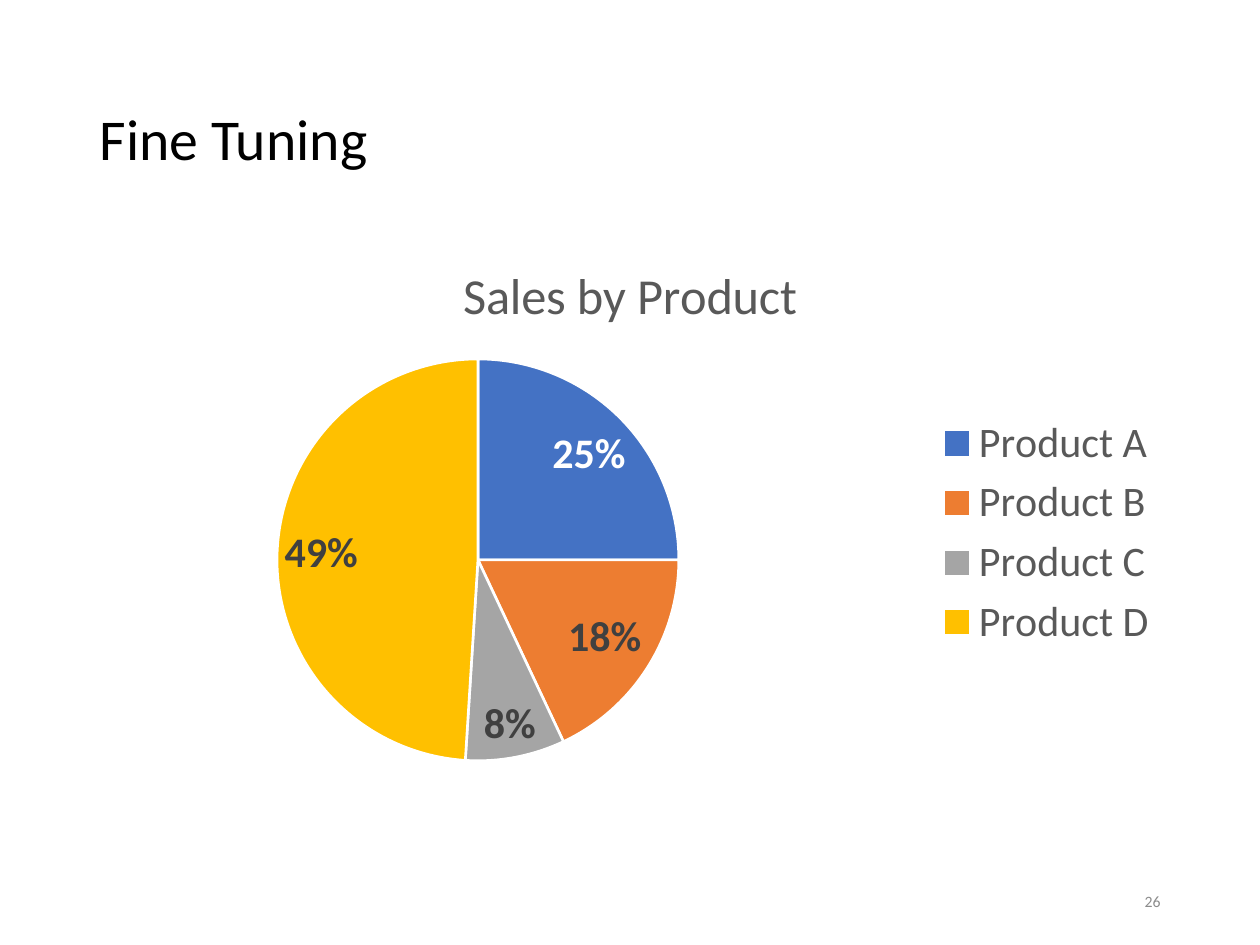
from copy import deepcopy

from pptx import Presentation
from pptx import util as u
from pptx.chart.data import CategoryChartData
from pptx.dml.color import RGBColor
from pptx.enum import chart as charts, text
from pptx.oxml import parse_xml
from pptx.oxml.ns import nsdecls

# Content
TITLE = "Fine Tuning"
PAGE_NUMBER = "26"
CHART_TITLE = "Sales by Product"
SALES = [  # product, percent, slice colour
    ("Product A", 25, "blue"),
    ("Product B", 18, "orange"),
    ("Product C", 8, "grey"),
    ("Product D", 49, "gold"),
]
COLORS = {
    "black": "000000", "white": "FFFFFF", "text": "595959", "label": "404040",
    "number": "8C8C8C", "blue": "4472C4", "orange": "ED7D31", "grey": "A5A5A5",
    "gold": "FFC000",
}
LEFT, WIDTH = 0.69, 8.62
# Shares of the chart's width and height
PIE_AREA = {"x": 0.17, "y": 0.21, "w": 0.38, "h": 0.67}
MOVED_LABELS = {  # slice: text colour, shift
    0: ("white", {"x": 0.01, "y": 0.01}),
    2: ("label", {"x": 0.02, "y": 0}),
}


def color(name):
    return RGBColor.from_string(COLORS[name])


def style(font, size, ink, bold=False):
    for key, value in {"name": "Calibri", "size": u.Pt(size), "bold": bold}.items():
        setattr(font, key, value)
    font.color.rgb = color(ink)


def place(shape, left, top, width, height):
    edges = {"left": left, "top": top, "width": width, "height": height}
    for key, value in edges.items():
        setattr(shape, key, u.Inches(value))


def write(frame, words, size, ink, align):
    frame.word_wrap = True
    frame.vertical_anchor = text.MSO_ANCHOR.MIDDLE
    para = frame.paragraphs[0]
    para.alignment = align
    span = para.add_run()
    span.text = words
    style(span.font, size, ink)
    return para


def layout(values, prefix=""):
    sizes = "".join(f'<c:{key} val="{value}"/>' for key, value in values.items())
    return parse_xml(f'<c:layout {nsdecls("c")}><c:manualLayout>{prefix}{sizes}'
                     "</c:manualLayout></c:layout>")


deck = Presentation()
deck.slide_width, deck.slide_height = u.Inches(10), u.Inches(7.5)
page = deck.slides.add_slide(deck.slide_layouts[5])

# Title
title = page.shapes.title
place(title, LEFT, 0.4, WIDTH, 1.45)
para = write(title.text_frame, TITLE, 33, "black", text.PP_ALIGN.LEFT)
para.line_spacing = 0.9

# Page number
box = page.shapes.add_textbox(0, 0, 0, 0)
place(box, 7.06, 6.95, 2.25, 0.4)
write(box.text_frame, PAGE_NUMBER, 9, "number", text.PP_ALIGN.RIGHT)

# Pie chart
data = CategoryChartData()
data.categories = [product for product, _, _ in SALES]
data.add_series("Series 1", [percent for _, percent, _ in SALES])
bounds = [u.Inches(value) for value in (LEFT, 1.85, WIDTH, 4.76)]
chart = page.shapes.add_chart(charts.XL_CHART_TYPE.PIE, *bounds, data).chart
style(chart.font, 24, "black")
chart.has_title = True
span = chart.chart_title.text_frame.paragraphs[0].add_run()
span.text = CHART_TITLE
style(span.font, 28.8, "text")
chart.chart_title.include_in_layout = False

# Legend
chart.has_legend = True
chart.legend.position = charts.XL_LEGEND_POSITION.RIGHT
chart.legend.include_in_layout = False
style(chart.legend.font, 24, "text")

# Slices
plot = chart.plots[0]
plot.vary_by_categories = True
series = plot.series[0]
for index, (_, _, fill) in enumerate(SALES):
    form = series.points[index].format
    form.fill.solid()
    form.fill.fore_color.rgb = color(fill)
    form.line.color.rgb = color("white")
    form.line.width = u.Pt(1.5)

# Percentage labels
labels = series.data_labels
formats = {
    "show_percentage": True, "show_value": False, "show_legend_key": False,
    "number_format": "0%", "number_format_is_linked": False,
    "position": charts.XL_LABEL_POSITION.INSIDE_END,
}
for key, value in formats.items():
    setattr(labels, key, value)
style(labels.font, 24, "label", bold=True)
number_format = series._element.xpath("c:dLbls/c:numFmt")[0]

# Labels with a shift of their own
for index, (ink, shift) in MOVED_LABELS.items():
    label = series.points[index].data_label
    style(label.font, 24, ink, bold=True)
    label.position = charts.XL_LABEL_POSITION.INSIDE_END
    label_xml = series._element.xpath(f"c:dLbls/c:dLbl[c:idx/@val='{index}']")[0]
    label_xml.xpath("c:showVal")[0].set("val", "0")
    label_xml.xpath("c:showPercent")[0].set("val", "1")
    label_xml.insert(1, layout(shift))
    label_xml.insert(2, deepcopy(number_format))

# Fixed place of the pie inside the chart
plot_area = chart._chartSpace.xpath("c:chart/c:plotArea")[0]
for old in plot_area.xpath("c:layout"):
    plot_area.remove(old)
edge_modes = '<c:layoutTarget val="inner"/><c:xMode val="edge"/><c:yMode val="edge"/>'
plot_area.insert(0, layout(PIE_AREA, edge_modes))

deck.save("out.pptx")
